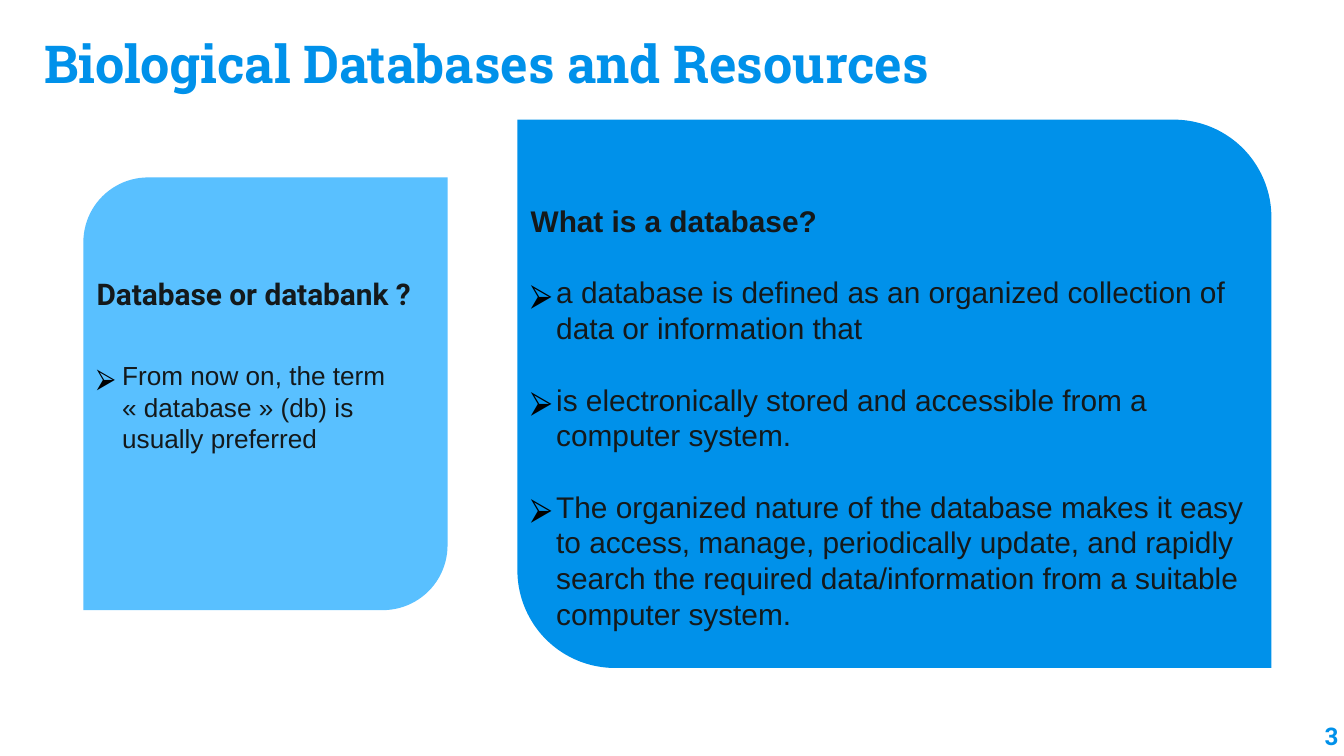
from dataclasses import dataclass

from lxml import etree
from pptx import Presentation
from pptx.dml.color import RGBColor
from pptx.enum.shapes import MSO_SHAPE
from pptx.enum.text import MSO_ANCHOR, PP_ALIGN
from pptx.oxml.ns import qn
from pptx.util import Inches, Pt

CARD = MSO_SHAPE.ROUND_2_DIAG_RECTANGLE
TOP, BOTTOM = MSO_ANCHOR.TOP, MSO_ANCHOR.BOTTOM
LEFT, RIGHT = PP_ALIGN.LEFT, PP_ALIGN.RIGHT
COLORS = {"blue": "0091EA", "light": "59C0FF", "ink": "14191B", "mark": "000000"}
PAD = 0.1
INDENT = 0.19


@dataclass
class Box:
    left: float
    top: float
    width: float
    height: float

    def emu(self) -> list:
        return [Inches(v) for v in (self.left, self.top, self.width, self.height)]


@dataclass
class Style:
    font: str
    size: float
    color: str
    bold: bool = False


@dataclass
class Panel:
    box: Box
    corners: tuple[float, float]
    fill: str
    area: Box
    head: str
    face: str
    items: list[str]
    size: float
    gap: float


def color(name: str) -> RGBColor:
    return RGBColor.from_string(COLORS[name])


def add_frame(shapes, box: Box, pad: float = 0, anchor=TOP):
    frame = shapes.add_textbox(*box.emu()).text_frame
    frame.word_wrap = True
    frame.vertical_anchor = anchor
    frame.margin_left = frame.margin_right = Inches(pad)
    frame.margin_top = frame.margin_bottom = Inches(pad)
    return frame


def add_run(para, text: str, style: Style) -> None:
    run = para.add_run()
    run.text = text
    font = run.font
    font.name, font.size, font.bold = style.font, Pt(style.size), style.bold
    font.color.rgb = color(style.color)


def add_label(shapes, box: Box, text: str, style: Style, align=LEFT, anchor=TOP) -> None:
    para = add_frame(shapes, box, anchor=anchor).paragraphs[0]
    para.alignment = align
    add_run(para, text, style)


def set_bullet(para) -> None:
    props = para._p.get_or_add_pPr()
    props.set("marL", str(Inches(INDENT)))
    props.set("indent", str(-Inches(INDENT)))
    tint = etree.SubElement(props, qn("a:buClr"))
    etree.SubElement(tint, qn("a:srgbClr"), val=COLORS["mark"])
    etree.SubElement(props, qn("a:buFont"), typeface="Noto Sans Symbols")
    etree.SubElement(props, qn("a:buChar"), char="⮚")


def add_panel(slide, panel: Panel) -> None:
    shapes = slide.shapes.add_group_shape().shapes

    # Card with two rounded corners
    card = shapes.add_shape(CARD, *panel.box.emu())
    card.shadow.inherit = False
    card.adjustments[0], card.adjustments[1] = panel.corners
    card.fill.solid()
    card.fill.fore_color.rgb = color(panel.fill)
    card.line.fill.background()

    # Heading and bullets
    frame = add_frame(shapes, panel.area, PAD)
    add_run(frame.paragraphs[0], panel.head, Style(panel.face, 16, "ink", True))
    for item in panel.items:
        para = frame.add_paragraph()
        para.space_before = Pt(panel.gap)
        set_bullet(para)
        add_run(para, item, Style("Arial", panel.size, "ink"))


PANELS = [
    Panel(
        Box(0.62, 1.32, 2.71, 3.22), (0.178, 0), "light",
        Box(0.62, 1.95, 2.71, 1.97), "Database or databank ?", "Roboto",
        ["From now on, the term «\u00a0database\u00a0» (db) is usually preferred"],
        14, 26,
    ),
    Panel(
        Box(3.85, 0.89, 5.61, 4.08), (0, 0.178), "blue",
        Box(3.85, 1.41, 5.61, 2.64), "What is a database?", "Arial",
        [
            "a database is defined as an organized collection of data or information that",
            "is electronically stored and accessible from a computer system.",
            "The organized nature of the database makes it easy to access, manage, "
            "periodically update, and rapidly search the required data/information "
            "from a suitable computer system.",
        ],
        16, 19,
    ),
]


def main() -> None:
    deck = Presentation()
    deck.slide_width = Inches(10)
    deck.slide_height = deck.slide_width * 9 // 16
    slide = deck.slides.add_slide(deck.slide_layouts[6])

    # Page number
    add_label(slide.shapes, Box(9.46, 5.07, 0.5, 0.51), "3",
              Style("Roboto", 13, "blue", True), RIGHT, BOTTOM)

    # Panels
    for panel in PANELS:
        add_panel(slide, panel)

    # Title
    add_label(slide.shapes, Box(0.33, 0.23, 8.29, 0.8),
              "Biological Databases and Resources",
              Style("Roboto Slab", 28, "blue", True))

    deck.save("out.pptx")


if __name__ == "__main__":
    main()
